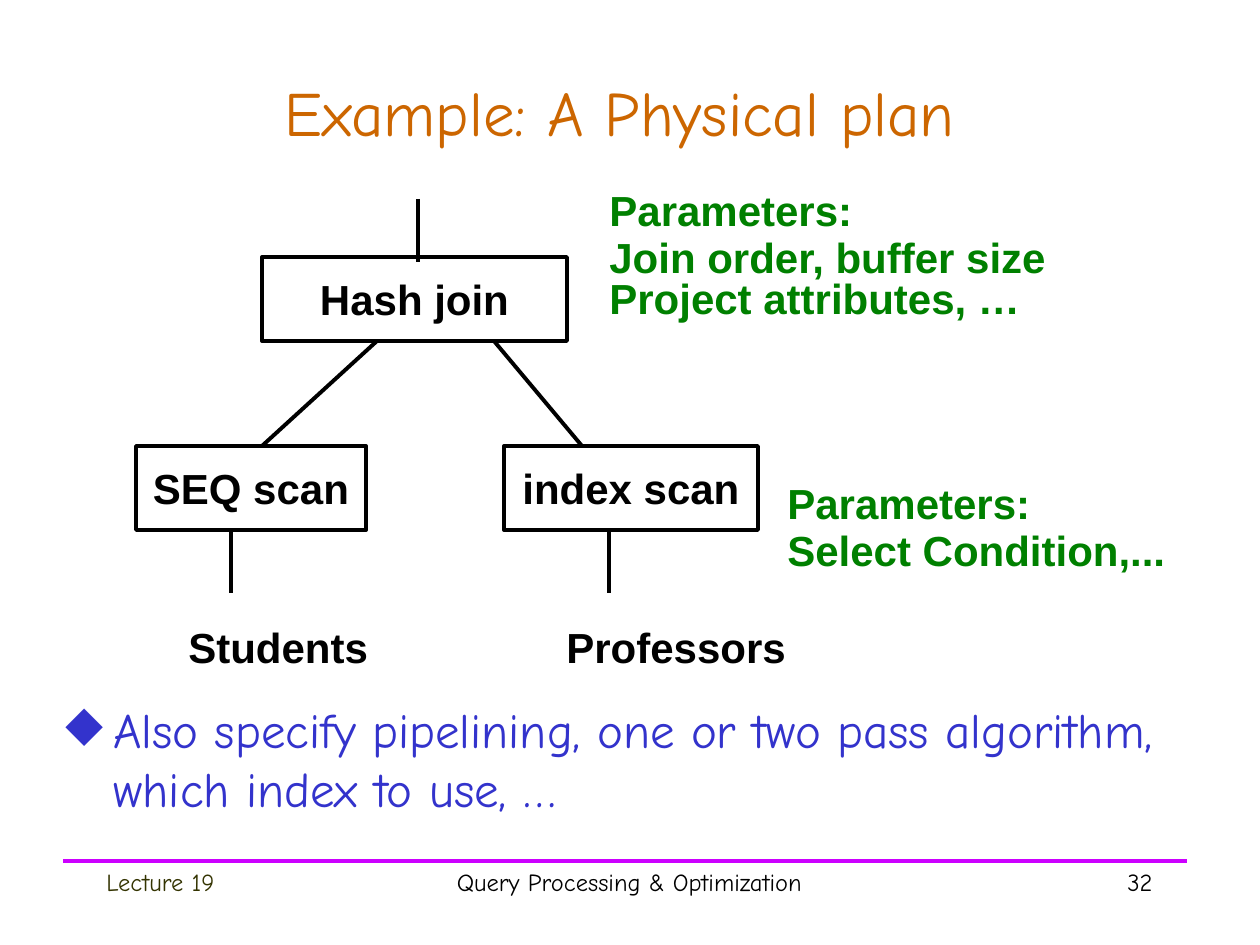
from lxml import etree
from pptx import Presentation
from pptx.dml.color import RGBColor
from pptx.enum.shapes import MSO_CONNECTOR, MSO_SHAPE
from pptx.enum.text import MSO_ANCHOR, PP_ALIGN
from pptx.oxml.ns import qn
from pptx.util import Pt

PX = 914400 / 126
LEFT, CENTER, RIGHT = PP_ALIGN.LEFT, PP_ALIGN.CENTER, PP_ALIGN.RIGHT
TOP, MIDDLE = MSO_ANCHOR.TOP, MSO_ANCHOR.MIDDLE
RECTANGLE = MSO_SHAPE.RECTANGLE
STRAIGHT = MSO_CONNECTOR.STRAIGHT

COLORS = {
    "title": "CC6600", "body": "3333CC", "params": "008000",
    "ink": "000000", "paper": "FFFFFF", "rule": "CC00FF", "lecture": "333300",
}
HAND, SANS = "Comic Neue", "Arial"

TITLE = "Example: A Physical plan"
NOTE = "Also specify pipelining, one or two pass algorithm, which index to use, …"
RELATIONS = "Students\tProfessors"
RELATION_GAP = 378
BULLET_INDENT = 48

OPERATOR_HEIGHT = 84
OPERATORS = [
    ("Hash join", 262, 257, 305),
    ("SEQ scan", 136, 446, 230),
    ("index scan", 504, 446, 254),
]
EDGES = [
    (377, 341, 262, 446),
    (494, 341, 582, 446),
    (231, 530, 231, 593),
    (609, 530, 609, 593),
    (418, 199, 418, 262),
]
PARAMETERS = [
    (["Parameters:", "Join order, buffer size", "Project attributes, …"],
     (597, 178, 484, 146)),
    (["Parameters:", "Select Condition,..."], (775, 471, 423, 105)),
]
FOOTER_TOP, FOOTER_HEIGHT = 861, 63
FOOTERS = [
    ("Query Processing & Optimization", 388, 483, CENTER, "ink"),
    ("32", 903, 262, RIGHT, "ink"),
    ("Lecture 19", 94, 262, LEFT, "lecture"),
]


def px(value):
    return round(value * PX)


def rgb(name):
    return RGBColor.from_string(COLORS[name])


def write(shape, lines, size, font, color, align=LEFT, anchor=TOP, bold=False):
    frame = shape.text_frame
    frame.word_wrap = True
    frame.vertical_anchor = anchor
    frame.text = "\n".join(lines)
    for paragraph in frame.paragraphs:
        paragraph.alignment = align
        for run in paragraph.runs:
            run.font.size = Pt(size)
            run.font.name = font
            run.font.bold = bold
            run.font.color.rgb = rgb(color)
    return frame


def add_text(slide, box, lines, *style, **options):
    shape = slide.shapes.add_textbox(*map(px, box))
    return write(shape, lines, *style, **options)


def add_line(slide, ends, color):
    line = slide.shapes.add_connector(STRAIGHT, *map(px, ends))
    line.line.color.rgb = rgb(color)
    line.line.width = Pt(2.25)
    etree.SubElement(line._element.spPr, qn("a:effectLst"))


def add_operator(slide, name, left, top, width):
    shape = slide.shapes.add_shape(
        RECTANGLE, *map(px, (left, top, width, OPERATOR_HEIGHT)))
    shape.shadow.inherit = False
    shape.fill.solid()
    shape.fill.fore_color.rgb = rgb("paper")
    shape.line.color.rgb = rgb("ink")
    shape.line.width = Pt(2.25)
    frame = write(shape, [name], 24, SANS, "ink", CENTER, MIDDLE, True)
    frame.word_wrap = False


def set_bullet(paragraph, symbol, color):
    properties = paragraph._p.get_or_add_pPr()
    properties.set("marL", str(px(BULLET_INDENT)))
    properties.set("indent", str(-px(BULLET_INDENT)))
    fill = etree.SubElement(properties, qn("a:buClr"))
    etree.SubElement(fill, qn("a:srgbClr"), val=COLORS[color])
    etree.SubElement(properties, qn("a:buChar"), char=symbol)


def set_tab(paragraph, position):
    tabs = etree.SubElement(paragraph._p.get_or_add_pPr(), qn("a:tabLst"))
    etree.SubElement(tabs, qn("a:tab"), pos=str(px(position)), algn="l")


def main():
    deck = Presentation()
    deck.slide_width, deck.slide_height = px(1260), px(945)
    slide = deck.slides.add_slide(deck.slide_layouts[6])

    add_line(slide, (63, FOOTER_TOP, 1187, FOOTER_TOP), "rule")
    add_text(slide, (53, 53, 1134, 116), [TITLE], 36, HAND, "title",
             align=CENTER, anchor=MIDDLE)
    note = add_text(slide, (53, 693, 1166, 131), [NOTE], 28, HAND, "body")
    set_bullet(note.paragraphs[0], "◆", "body")

    for operator in OPERATORS:
        add_operator(slide, *operator)
    for edge in EDGES:
        add_line(slide, edge, "ink")

    for lines, box in PARAMETERS:
        frame = add_text(slide, box, lines, 24, SANS, "params",
                         anchor=MIDDLE, bold=True)
        for paragraph in frame.paragraphs[1:]:
            paragraph.line_spacing = 0.3
            paragraph.space_before = Pt(15)

    relations = add_text(slide, (176, 615, 640, 63), [RELATIONS], 24, SANS,
                         "ink", anchor=MIDDLE, bold=True)
    set_tab(relations.paragraphs[0], RELATION_GAP)

    for text, left, width, align, color in FOOTERS:
        add_text(slide, (left, FOOTER_TOP, width, FOOTER_HEIGHT), [text],
                 14, HAND, color, align=align)

    deck.save("out.pptx")


if __name__ == "__main__":
    main()
